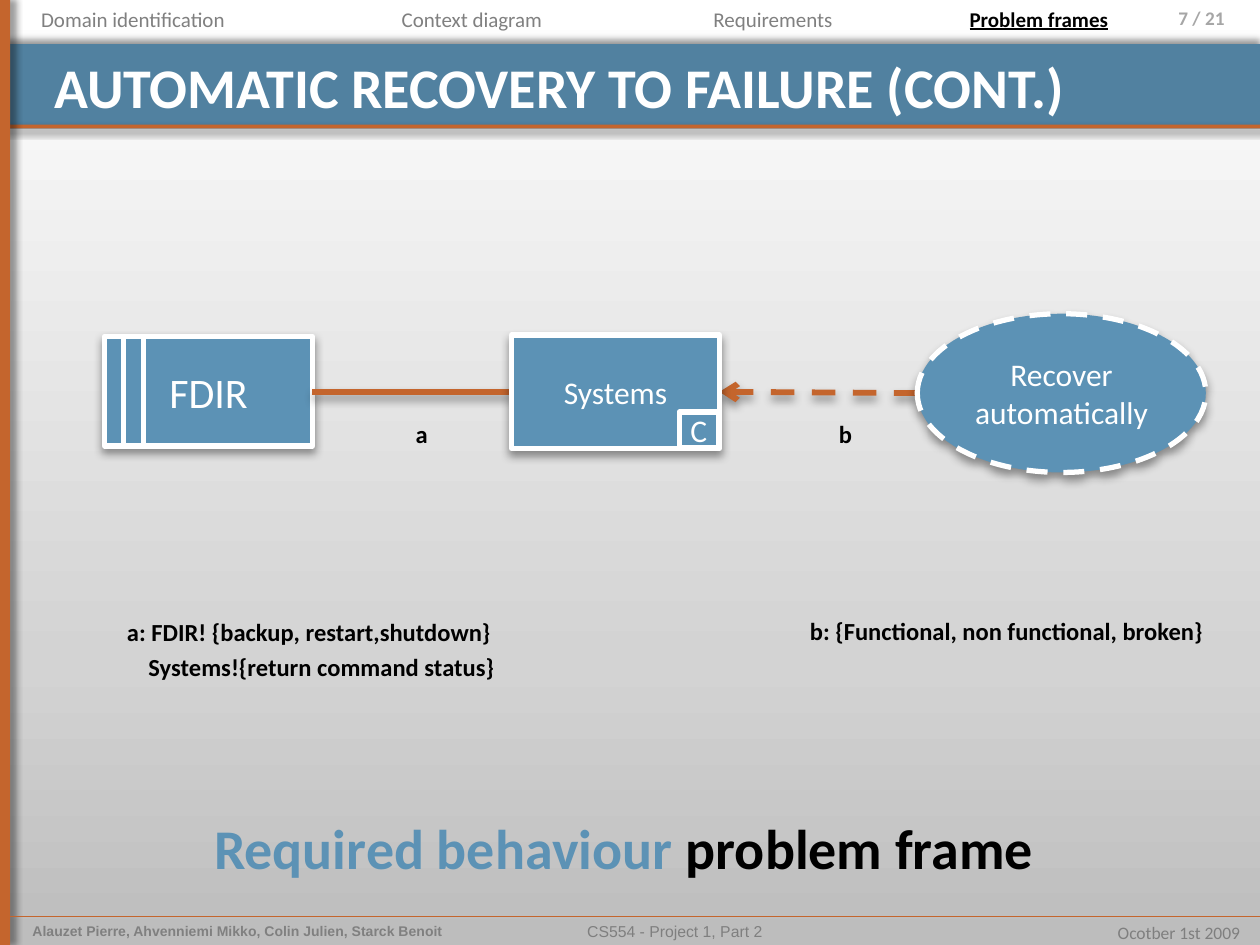
from copy import deepcopy
from dataclasses import dataclass
from typing import Optional

from lxml.etree import SubElement
from pptx import Presentation
from pptx.dml.color import RGBColor
from pptx.enum.dml import MSO_LINE
from pptx.enum.shapes import MSO_CONNECTOR, MSO_SHAPE
from pptx.enum.text import MSO_ANCHOR, PP_ALIGN
from pptx.oxml.ns import qn
from pptx.util import Inches, Pt

COLORS = {
    "band": "5181A0", "accent": "C4652D", "node": "5C92B5", "white": "FFFFFF",
    "black": "000000", "nav": "808080", "footer": "7F7F7F", "number": "A6A6A6",
}
BACKDROP = [(0, "BDBDBD"), (0.3, "D3D3D3"), (1, "FFFFFF")]
WIDTH, HEIGHT = Inches(10), Inches(7.5)
COL, ROW = WIDTH / 100, HEIGHT / 75  # grid of 100 columns by 75 rows
LEFT, CENTER, RIGHT = PP_ALIGN.LEFT, PP_ALIGN.CENTER, PP_ALIGN.RIGHT


@dataclass(frozen=True)
class Area:
    left: float
    top: float
    width: float
    height: float

    def emu(self) -> tuple:
        return (round(self.left * COL), round(self.top * ROW),
                round(self.width * COL), round(self.height * ROW))


@dataclass(frozen=True)
class Style:
    size: float
    color: str = "black"
    bold: bool = False
    underline: bool = False
    font: str = "Calibri"


@dataclass(frozen=True)
class Shadow:
    angle: int
    blur: float = 4


@dataclass(frozen=True)
class Label:
    area: Area
    text: str
    style: Style
    align: PP_ALIGN = LEFT
    wrap: bool = False
    right_inset: float = 1  # columns


NODE_SHADOW = Shadow(90, 5.2)
NAV = Style(12, "nav")
NAV_CURRENT = Style(12, bold=True, underline=True)
NOTE = Style(14, bold=True)
HEADLINE = Style(32, bold=True)

LABELS = [
    Label(Area(1.6, 72.7, 36.7, 2.3),
          "Alauzet Pierre, Ahvenniemi Mikko, Colin Julien, Starck Benoit",
          Style(8, "nav", bold=True, font="Arial")),
    Label(Area(22.7, 72.7, 61.7, 2.3), "CS554 - Project 1, Part 2",
          Style(9, "footer", font="Arial"), CENTER, True),
    Label(Area(87.1, 72.7, 12.3, 2.7), "Ocotber 1st 2009",
          Style(10, "footer"), RIGHT),
    Label(Area(88.3, 0, 11.7, 3.9), "7 / 21",
          Style(11, "number", bold=True), RIGHT, True, 2.8),
    Label(Area(0, 0, 21.1, 3), "Domain identification", NAV, CENTER, True),
    Label(Area(23.4, 0, 28.1, 3), "Context diagram", NAV, CENTER, True),
    Label(Area(50.8, 0, 21.1, 3), "Requirements", NAV, CENTER, True),
    Label(Area(71.9, 0, 21.1, 3), "Problem frames", NAV_CURRENT, CENTER, True),
    Label(Area(32, 32.8, 3.4, 3.4), "a", NOTE),
    Label(Area(65.6, 32.8, 3.5, 3.4), "b", NOTE),
    Label(Area(63.3, 48.4, 33.5, 3.4),
          "b: {Functional, non functional, broken}", NOTE),
]


def rgb(name: str) -> RGBColor:
    return RGBColor.from_string(COLORS[name])


def format_run(span, style: Style) -> None:
    font = span.font
    font.name, font.size = style.font, Pt(style.size)
    font.bold, font.underline = style.bold, style.underline
    font.color.rgb = rgb(style.color)


def set_shadow(shape, shadow: Optional[Shadow]) -> None:
    """Give the shape an outer shadow, or an empty effect list for none."""
    effects = SubElement(shape._element.spPr, qn("a:effectLst"))
    if shadow:
        outer = SubElement(
            effects, qn("a:outerShdw"), blurRad=str(Pt(shadow.blur)),
            dist=str(Pt(3)), dir=str(shadow.angle * 60000), rotWithShape="0")
        color = SubElement(outer, qn("a:srgbClr"), val=COLORS["black"])
        SubElement(color, qn("a:alpha"), val="40000")


def add_block(shapes, area: Area, fill: str, shadow: Optional[Shadow] = None,
              kind=MSO_SHAPE.RECTANGLE):
    block = shapes.add_shape(kind, *area.emu())
    block.fill.solid()
    block.fill.fore_color.rgb = rgb(fill)
    block.line.fill.background()
    set_shadow(block, shadow)
    return block


def add_node(shapes, area: Area, text: str, size: float,
             shadow: Optional[Shadow] = NODE_SHADOW,
             kind=MSO_SHAPE.RECTANGLE):
    """Draw a white-outlined block with centred text."""
    node = add_block(shapes, area, "node", shadow, kind)
    node.line.color.rgb = rgb("white")
    node.line.width = Pt(3)
    frame = node.text_frame
    frame.text = text
    frame.margin_left = frame.margin_right = 0
    frame.vertical_anchor = MSO_ANCHOR.MIDDLE
    para = frame.paragraphs[0]
    para.alignment = CENTER
    format_run(para.runs[0], Style(size, "white"))
    return node


def add_line(shapes, start: tuple, end: tuple, color: str, width: float,
             shadow: Optional[Shadow] = None):
    (x1, y1), (x2, y2) = start, end
    line = shapes.add_connector(
        MSO_CONNECTOR.STRAIGHT, round(x1 * COL), round(y1 * ROW),
        round(x2 * COL), round(y2 * ROW))
    line.line.color.rgb = rgb(color)
    line.line.width = Pt(width)
    set_shadow(line, shadow)
    return line


def add_label(page, label: Label):
    box = page.shapes.add_textbox(*label.area.emu())
    frame = box.text_frame
    frame.word_wrap = label.wrap
    frame.margin_right = round(label.right_inset * COL)
    frame.text = label.text
    for para in frame.paragraphs:
        para.alignment = label.align
        format_run(para.runs[0], label.style)
    return box


def paint_background(page) -> None:
    fill = page.background.fill
    fill.gradient()
    fill.gradient_angle = 90
    first = fill.gradient_stops[0]._gs
    first.addnext(deepcopy(first))
    for stop, (position, color) in zip(fill.gradient_stops, BACKDROP):
        stop.position = position
        stop.color.rgb = RGBColor.from_string(color)


def add_title(page, text: str) -> None:
    title = page.shapes.title
    title.left, title.top, title.width, title.height = Area(3.3, 3.5, 92.8, 5.8).emu()
    frame = title.text_frame
    frame.text = text
    frame.vertical_anchor = MSO_ANCHOR.TOP
    frame.margin_top = round(0.7 * ROW)
    frame.paragraphs[0].alignment = LEFT
    format_run(frame.paragraphs[0].runs[0], Style(32, "white", bold=True))
    page.shapes._spTree.append(title._element)  # bring in front of the band


def add_diagram(page) -> None:
    shapes = page.shapes
    arrow = add_line(shapes, (72.8, 31.2), (57.1, 31.1), "accent", 3.35, NODE_SHADOW)
    arrow.line.dash_style = MSO_LINE.DASH
    SubElement(arrow.line._get_or_add_ln(), qn("a:tailEnd"), type="arrow")

    machine = shapes.add_group_shape().shapes
    add_node(machine, Area(8.3, 26.7, 16.5, 8.7), "FDIR", 24)
    for x in (9.8, 11.4):
        add_line(machine, (x, 26.7), (x, 35.4), "white", 3)

    goal = add_node(shapes, Area(72.8, 24.9, 22.9, 12.6),
                    "Recover automatically", 18, kind=MSO_SHAPE.OVAL)
    goal.line.dash_style = MSO_LINE.DASH
    goal.text_frame.margin_left = goal.text_frame.margin_right = round(COL)
    add_line(shapes, (24.8, 31.1), (40.6, 31.1), "accent", 3.35, NODE_SHADOW)

    domain = shapes.add_group_shape().shapes
    add_node(domain, Area(40.6, 26.6, 16.5, 9), "Systems", 18)
    add_node(domain, Area(53.9, 32.7, 3.1, 2.8), "C", 18, shadow=None)


def main() -> None:
    deck = Presentation()
    deck.slide_width, deck.slide_height = WIDTH, HEIGHT
    page = deck.slides.add_slide(deck.slide_layouts.get_by_name("Title Only"))
    paint_background(page)
    add_block(page.shapes, Area(0, 3.5, 100, 6.7), "band", Shadow(270))
    add_block(page.shapes, Area(0, 9.9, 100, 0.3), "accent", Shadow(45))
    add_block(page.shapes, Area(0, 0, 0.8, 75), "accent", Shadow(0))
    add_line(page.shapes, (0.8, 72.7), (100, 72.7), "accent", 0.25, Shadow(45))
    add_title(page, "AUTOMATIC RECOVERY TO FAILURE (CONT.)")
    add_diagram(page)
    for label in LABELS:
        add_label(page, label)

    commands = add_label(page, Label(
        Area(9.1, 48.5, 31.6, 6.2),
        "a: FDIR! {backup, restart,shutdown}\nSystems!{return command status}", NOTE))
    second = commands.text_frame.paragraphs[1]
    second.space_before = Pt(2.8)
    second._p.get_or_add_pPr().set("marL", str(round(1.7 * COL)))

    caption = add_label(page, Label(
        Area(16, 64.1, 67.9, 6.4), "Required behaviour ", Style(32, "node", bold=True)))
    span = caption.text_frame.paragraphs[0].add_run()
    span.text = "problem frame"
    format_run(span, HEADLINE)
    deck.save("out.pptx")


if __name__ == "__main__":
    main()
